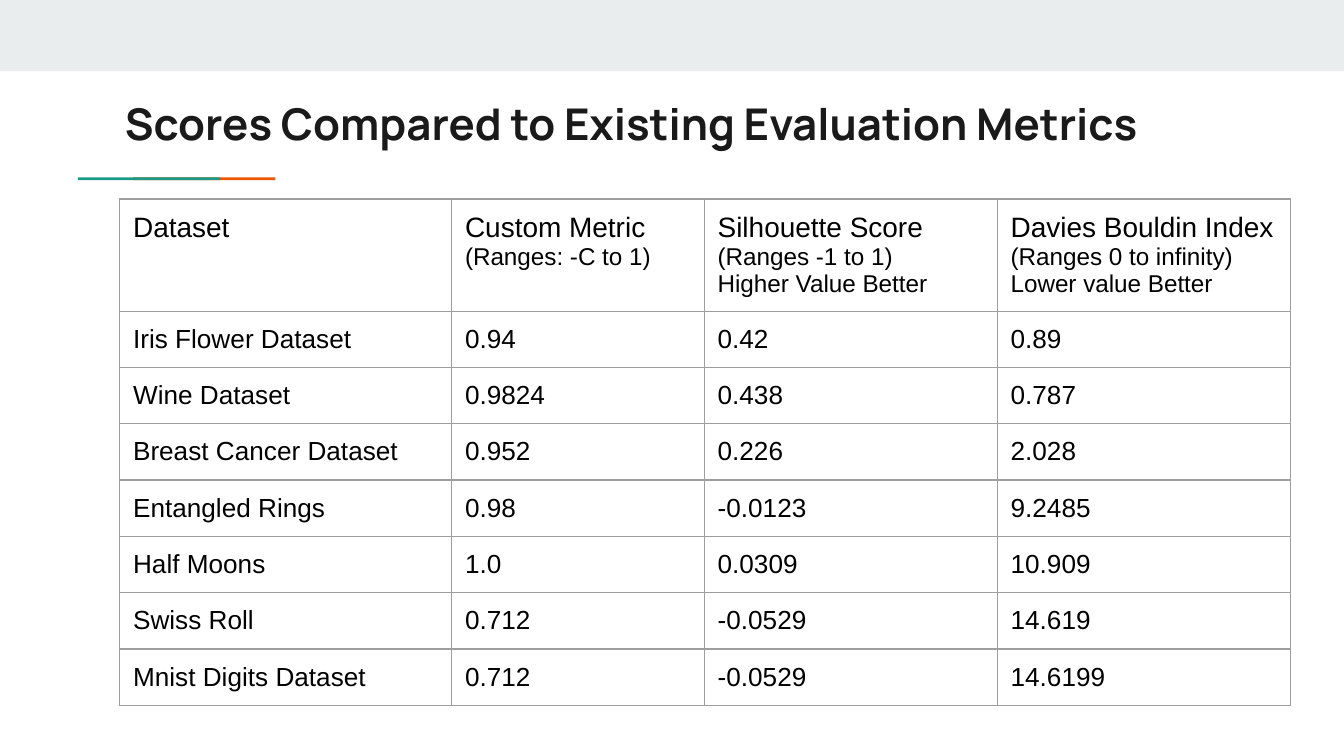
from pptx import Presentation
from pptx.dml.color import RGBColor
from pptx.enum.shapes import MSO_SHAPE as Shape
from pptx.enum.text import MSO_ANCHOR as Anchor, MSO_AUTO_SIZE as AutoSize, PP_ALIGN as Align
from pptx.oxml import parse_xml
from pptx.oxml.ns import nsdecls
from pptx.util import Inches, Pt

COLORS = {
    "band": "E9EDEE", "orange": "EB5600", "teal": "1A9988",
    "title": "1A1A1A", "text": "000000", "border": "9E9E9E",
}
INSET = Inches(0.1)
COLUMN_WIDTHS = [2.47, 1.88, 2.18, 2.18]
ROW_HEIGHT = Pt(30)
HEADER_HEIGHT = 2 * ROW_HEIGHT
HEADERS = [
    ["Dataset"],
    ["Custom Metric", "(Ranges: -C to 1)"],
    ["Silhouette Score", "(Ranges -1 to 1)", "Higher Value Better"],
    ["Davies Bouldin Index", "(Ranges 0 to infinity)", "Lower value Better"],
]
SCORES = [
    ["Iris Flower Dataset", "0.94", "0.42", "0.89"],
    ["Wine Dataset", "0.9824", "0.438", "0.787"],
    ["Breast Cancer Dataset", "0.952", "0.226", "2.028"],
    ["Entangled Rings", "0.98", "-0.0123", "9.2485"],
    ["Half Moons", "1.0", "0.0309", "10.909"],
    ["Swiss Roll", "0.712", "-0.0529", "14.619"],
    ["Mnist Digits Dataset", "0.712", "-0.0529", "14.6199"],
]


def add_bar(page, left, top, width, height, color):
    bar = page.shapes.add_shape(
        Shape.RECTANGLE, Inches(left), Inches(top), Inches(width), Inches(height))
    bar.shadow.inherit = False
    bar.fill.solid()
    bar.fill.fore_color.rgb = RGBColor.from_string(COLORS[color])
    bar.line.fill.background()


def add_span(para, text, size, font, color, bold=False):
    span = para.add_run()
    span.text = text
    span.font.size = Pt(size)
    span.font.name = font
    span.font.bold = bold
    span.font.color.rgb = RGBColor.from_string(COLORS[color])


def set_insets(holder):
    holder.margin_left = holder.margin_right = INSET
    holder.margin_top = holder.margin_bottom = INSET


def add_accent(page, left, top, width, height):
    """Two equal overlapping bars, teal in front."""
    bar_width = width * 0.72
    add_bar(page, left + width - bar_width, top, bar_width, height, "orange")
    add_bar(page, left, top, bar_width, height, "teal")


def set_title(page, left, top, width, height, text):
    title = page.shapes.title
    title.left, title.top = Inches(left), Inches(top)
    title.width, title.height = Inches(width), Inches(height)
    frame = title.text_frame
    frame.word_wrap = True
    frame.auto_size = AutoSize.NONE
    frame.vertical_anchor = Anchor.TOP
    set_insets(frame)
    para = frame.paragraphs[0]
    para.alignment = Align.LEFT
    add_span(para, text, 23.4, "Manrope", "title", bold=True)


def set_borders(cell):
    properties = cell._tc.get_or_add_tcPr()
    for position, side in enumerate(("lnL", "lnR", "lnT", "lnB")):
        properties.insert(position, parse_xml(
            f'<a:{side} {nsdecls("a")} w="{Pt(0.75)}"><a:solidFill>'
            f'<a:srgbClr val="{COLORS["border"]}"/></a:solidFill></a:{side}>'))


def fill_cell(cell, lines, sizes):
    cell.fill.background()
    set_insets(cell)
    set_borders(cell)
    frame = cell.text_frame
    for index, line in enumerate(lines):
        para = frame.add_paragraph() if index else frame.paragraphs[0]
        add_span(para, line, sizes[min(index, len(sizes) - 1)], "Arial", "text")


def add_scores(page, left, top):
    width = sum(COLUMN_WIDTHS)
    height = HEADER_HEIGHT + ROW_HEIGHT * len(SCORES)
    table = page.shapes.add_table(
        len(SCORES) + 1, len(COLUMN_WIDTHS),
        Inches(left), Inches(top), Inches(width), height).table
    table.first_row = table.horz_banding = False
    for column, column_width in zip(table.columns, COLUMN_WIDTHS):
        column.width = Inches(column_width)
    for index, row in enumerate(table.rows):
        row.height = ROW_HEIGHT if index else HEADER_HEIGHT

    for column, lines in enumerate(HEADERS):
        fill_cell(table.cell(0, column), lines, [15, 13])
    for row, values in enumerate(SCORES, 1):
        for column, value in enumerate(values):
            fill_cell(table.cell(row, column), [value], [14])


def main():
    # Widescreen deck, 16:9
    deck = Presentation()
    deck.slide_width = Inches(10)
    deck.slide_height = deck.slide_width * 9 // 16
    page = deck.slides.add_slide(deck.slide_layouts[5])

    # Top band and title accent
    add_bar(page, 0, 0, 10, 0.53, "band")
    add_accent(page, 0.58, 1.32, 1.47, 0.02)
    # Title and score table
    set_title(page, 0.83, 0.62, 8.34, 0.63,
              "Scores Compared to Existing Evaluation Metrics")
    add_scores(page, 0.89, 1.48)
    deck.save("out.pptx")


if __name__ == "__main__":
    main()
